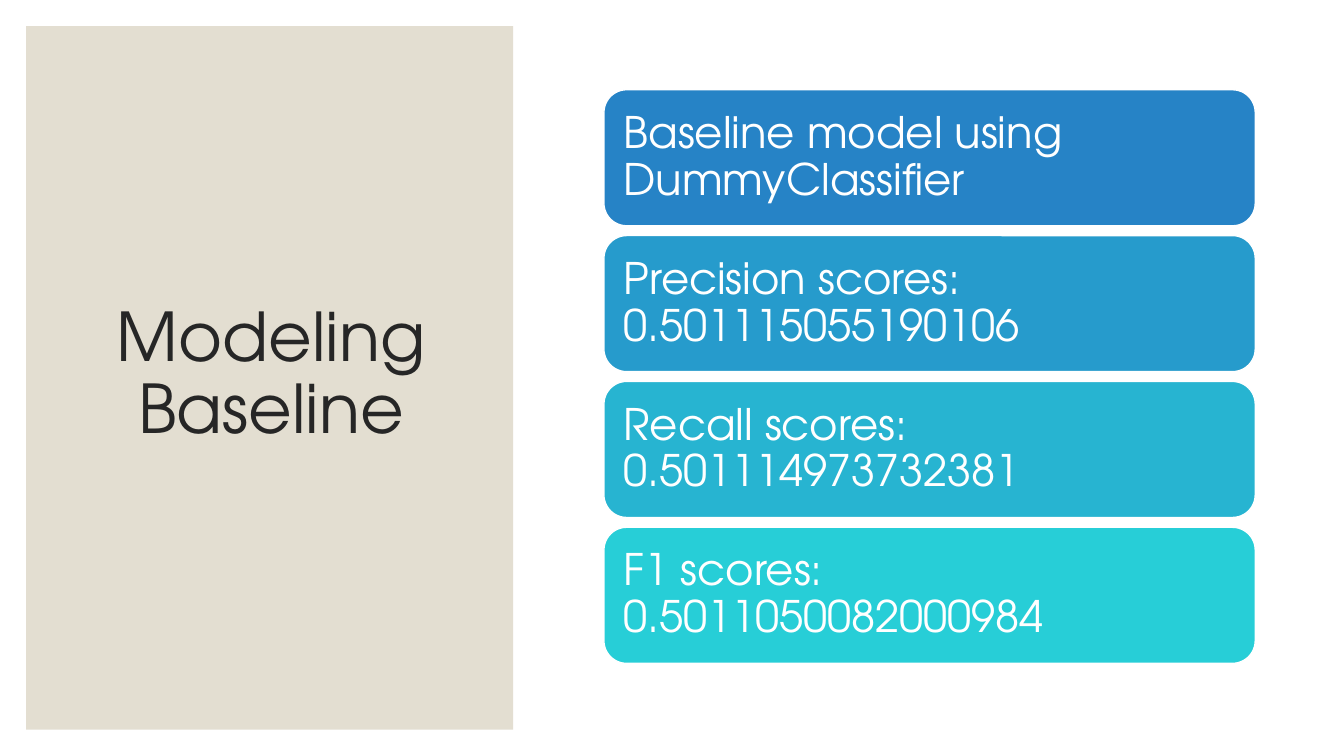
from pptx import Presentation
from pptx.dml.color import RGBColor
from pptx.enum.shapes import MSO_SHAPE
from pptx.enum.text import MSO_ANCHOR, PP_ALIGN
from pptx.util import Inches, Pt

FONT = "TeX Gyre Adventor"
WHITE = RGBColor(0xFF, 0xFF, 0xFF)
INK = RGBColor(0x26, 0x26, 0x26)
SAND = RGBColor(0xE3, 0xDE, 0xD1)
CARDS = [
    ("Baseline model using DummyClassifier", RGBColor(0x26, 0x83, 0xC6)),
    ("Precision scores: 0.501115055190106", RGBColor(0x26, 0x9B, 0xCC)),
    ("Recall scores: 0.501114973732381", RGBColor(0x27, 0xB4, 0xD1)),
    ("F1 scores: 0.5011050082000984", RGBColor(0x27, 0xCE, 0xD7)),
]
CARD_LEFT, CARD_TOP, CARD_WIDTH, CARD_HEIGHT = 5.99, 0.89, 6.46, 1.35
CARD_PITCH = 1.447

prs = Presentation()
prs.slide_width, prs.slide_height = Inches(13.33), Inches(7.5)
s = prs.slides.add_slide(prs.slide_layouts[6])


def add_block(kind, left, top, width, height, fill):
    sp = s.shapes.add_shape(kind, Inches(left), Inches(top), Inches(width), Inches(height))
    sp.shadow.inherit = False
    sp.fill.solid()
    sp.fill.fore_color.rgb = fill
    sp.line.fill.background()
    return sp


def write(sp, text, size, color, align=PP_ALIGN.LEFT, inset=0.1):
    """Set one vertically centred paragraph in a shape or text box."""
    tf = sp.text_frame
    tf.word_wrap = True
    tf.vertical_anchor = MSO_ANCHOR.MIDDLE
    tf.margin_left = tf.margin_right = tf.margin_top = tf.margin_bottom = Inches(inset)
    p = tf.paragraphs[0]
    p.alignment = align
    p.line_spacing = 0.9
    r = p.add_run()
    r.text = text
    r.font.name = FONT
    r.font.size = Pt(size)
    r.font.color.rgb = color


add_block(MSO_SHAPE.RECTANGLE, 0.26, 0.26, 4.83, 6.98, SAND)
title = s.shapes.add_textbox(Inches(0.63), Inches(0.61), Inches(4.12), Inches(6.24))
write(title, "Modeling Baseline", 48, INK, align=PP_ALIGN.CENTER)

for i, (text, fill) in enumerate(CARDS):
    card = add_block(MSO_SHAPE.ROUNDED_RECTANGLE, CARD_LEFT, CARD_TOP + i * CARD_PITCH,
                     CARD_WIDTH, CARD_HEIGHT, fill)
    card.line.color.rgb = WHITE
    card.line.width = Pt(1)
    write(card, text, 31, WHITE, inset=0.13)

prs.save("out.pptx")
